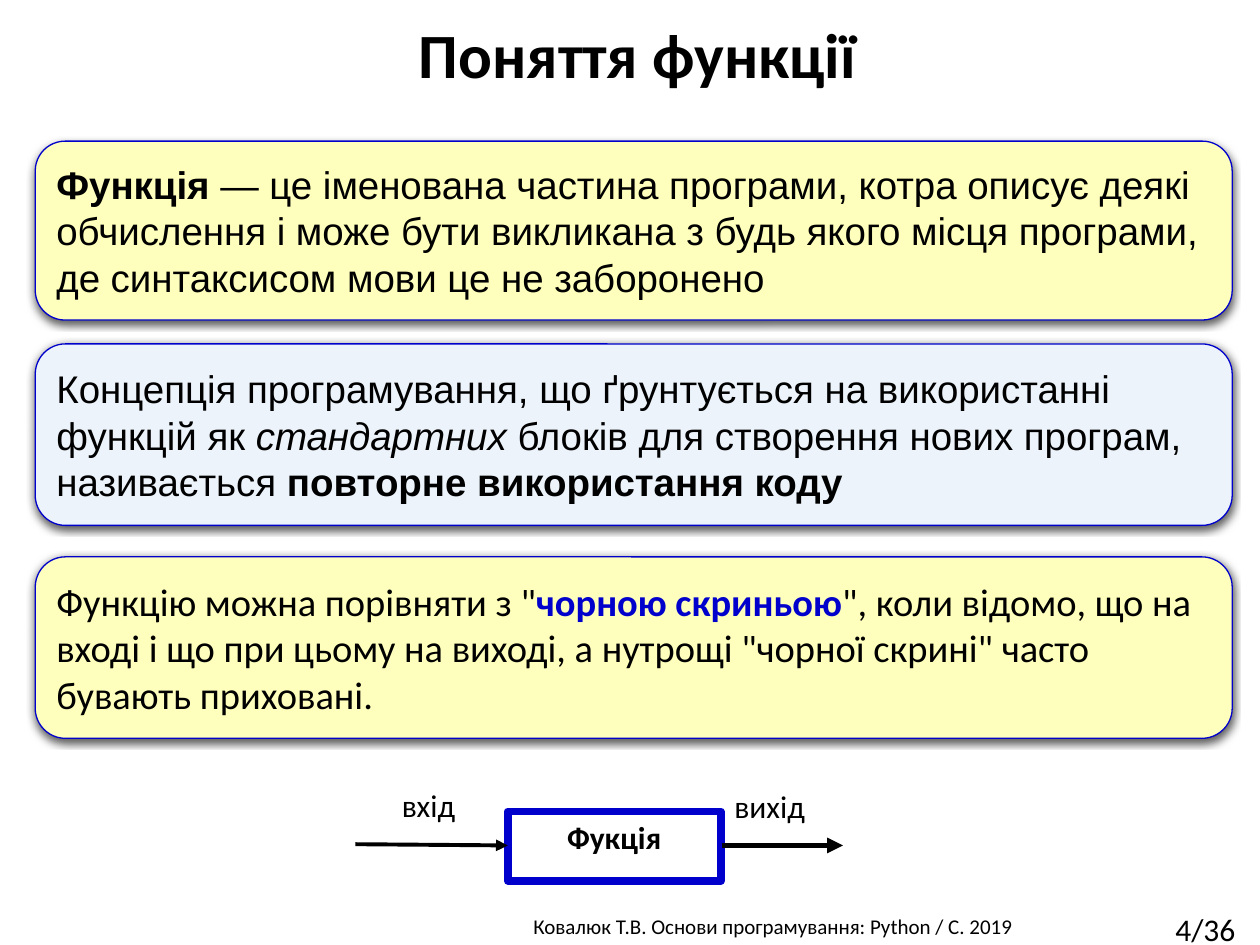
from lxml import etree
from pptx import Presentation
from pptx.dml.color import RGBColor
from pptx.enum.shapes import MSO_CONNECTOR as Connector, MSO_SHAPE as Shape
from pptx.enum.text import MSO_ANCHOR as Anchor, PP_ALIGN as Align
from pptx.oxml.ns import qn
from pptx.util import Inches, Pt

BLACK, BLUE = "000000", "0000CC"
YELLOW, PALE_BLUE = "FFFFBD", "ECF3FA"


def rgb(value):
    return RGBColor.from_string(value)


def box(place):
    return [Inches(v) for v in place]


def write(tf, runs, size, font="Calibri", align=Align.LEFT, anchor=Anchor.TOP, wrap=True):
    """Fill a text frame with one paragraph of (text, style) runs."""
    tf.word_wrap = wrap
    tf.vertical_anchor = anchor
    p = tf.paragraphs[0]
    p.alignment = align
    for text, style in runs:
        r = p.add_run()
        r.text = text
        r.font.name, r.font.size = font, Pt(size)
        r.font.bold = "b" in style
        r.font.italic = "i" in style
        r.font.color.rgb = rgb(BLUE if "blue" in style else BLACK)
    return p


def add_label(slide, place, text, size, align=Align.LEFT, wrap=True):
    s = slide.shapes.add_textbox(*box(place))
    write(s.text_frame, [(text, ())], size, align=align, wrap=wrap)


def add_shape(slide, kind, place, line_width, fill=None):
    s = slide.shapes.add_shape(kind, *box(place))
    if fill:
        s.fill.solid()
        s.fill.fore_color.rgb = rgb(fill)
    else:
        s.fill.background()
    s.line.color.rgb = rgb(BLUE)
    s.line.width = Pt(line_width)
    s.shadow.inherit = False
    return s


def add_card(slide, top, height, fill, font, runs):
    """Rounded card with a soft shadow below it."""
    s = add_shape(slide, Shape.ROUNDED_RECTANGLE, (0.28, top, 9.5, height), 0.75, fill)
    effects = s._element.spPr.find(qn("a:effectLst"))
    shadow = etree.SubElement(effects, qn("a:outerShdw"), blurRad=str(Pt(4.5)),
                              dist=str(Pt(1.5)), dir="5400000", rotWithShape="0")
    color = etree.SubElement(shadow, qn("a:srgbClr"), val=BLACK)
    etree.SubElement(color, qn("a:alpha"), val="63000")
    write(s.text_frame, runs, 22, font, anchor=Anchor.MIDDLE)


def add_arrow(slide, start, end, width):
    c = slide.shapes.add_connector(Connector.STRAIGHT, *box(start + end))
    c.line.color.rgb = rgb(BLACK)
    c.line.width = Pt(width)
    etree.SubElement(c.line._get_or_add_ln(), qn("a:tailEnd"), type="triangle")
    etree.SubElement(c._element.spPr, qn("a:effectLst"))


def add_title(slide, text):
    s = slide.shapes.title
    s.left, s.top, s.width, s.height = box((0, 0, 10, 0.92))
    s.text_frame.margin_left = Inches(0.22)
    p = write(s.text_frame, [(text, "b")], 36, align=Align.CENTER, anchor=Anchor.MIDDLE)
    p.line_spacing = 0.9


def add_black_box(slide):
    """Function box with its input and output arrows."""
    s = add_shape(slide, Shape.RECTANGLE, (4.03, 6.44, 1.69, 0.55), 4.5)
    write(s.text_frame, [("Фукція", "b")], 18, align=Align.CENTER)
    add_arrow(slide, (2.82, 6.7), (4.03, 6.71), 2.25)
    add_arrow(slide, (5.73, 6.71), (6.69, 6.71), 3)
    add_label(slide, (3.09, 6.19, 0.68, 0.55), "вхід", 18, wrap=False)
    add_label(slide, (5.73, 6.2, 1.2, 0.55), "вихід", 18)


def main():
    prs = Presentation()
    prs.slide_width, prs.slide_height = Inches(10), Inches(7.5)
    slide = prs.slides.add_slide(prs.slide_layouts[5])
    add_title(slide, "Поняття функції")

    # Definition cards
    add_card(slide, 1.12, 1.42, YELLOW, "Arial", [
        ("Функція ", "b"),
        ("— це іменована частина програми, котра описує деякі обчислення і може "
         "бути викликана з будь якого місця програми, де синтаксисом мови це не "
         "заборонено", ())])
    add_card(slide, 2.73, 1.44, PALE_BLUE, "Arial", [
        ("Концепція програмування, що ґрунтується на використанні функцій як ", ()),
        ("стандартних", "i"),
        (" блоків для створення нових програм, називається ", ()),
        ("повторне використання коду", "b")])
    add_card(slide, 4.42, 1.44, YELLOW, "Calibri", [
        ('Функцію можна порівняти з "', ()),
        ("чорною скриньою", ("b", "blue")),
        ('", коли відомо, що на вході і що при цьому на виході, а нутрощі '
         '"чорної скрині" часто бувають приховані.', ())])

    add_black_box(slide)

    # Footer and page number
    add_label(slide, (3.29, 7.2, 5.69, 0.3),
              "Ковалюк Т.В. Основи програмування: Python / C. 2019", 12, Align.CENTER)
    add_label(slide, (9.23, 7.17, 0.85, 0.4), "4/36", 18, wrap=False)

    prs.save("out.pptx")


if __name__ == "__main__":
    main()
